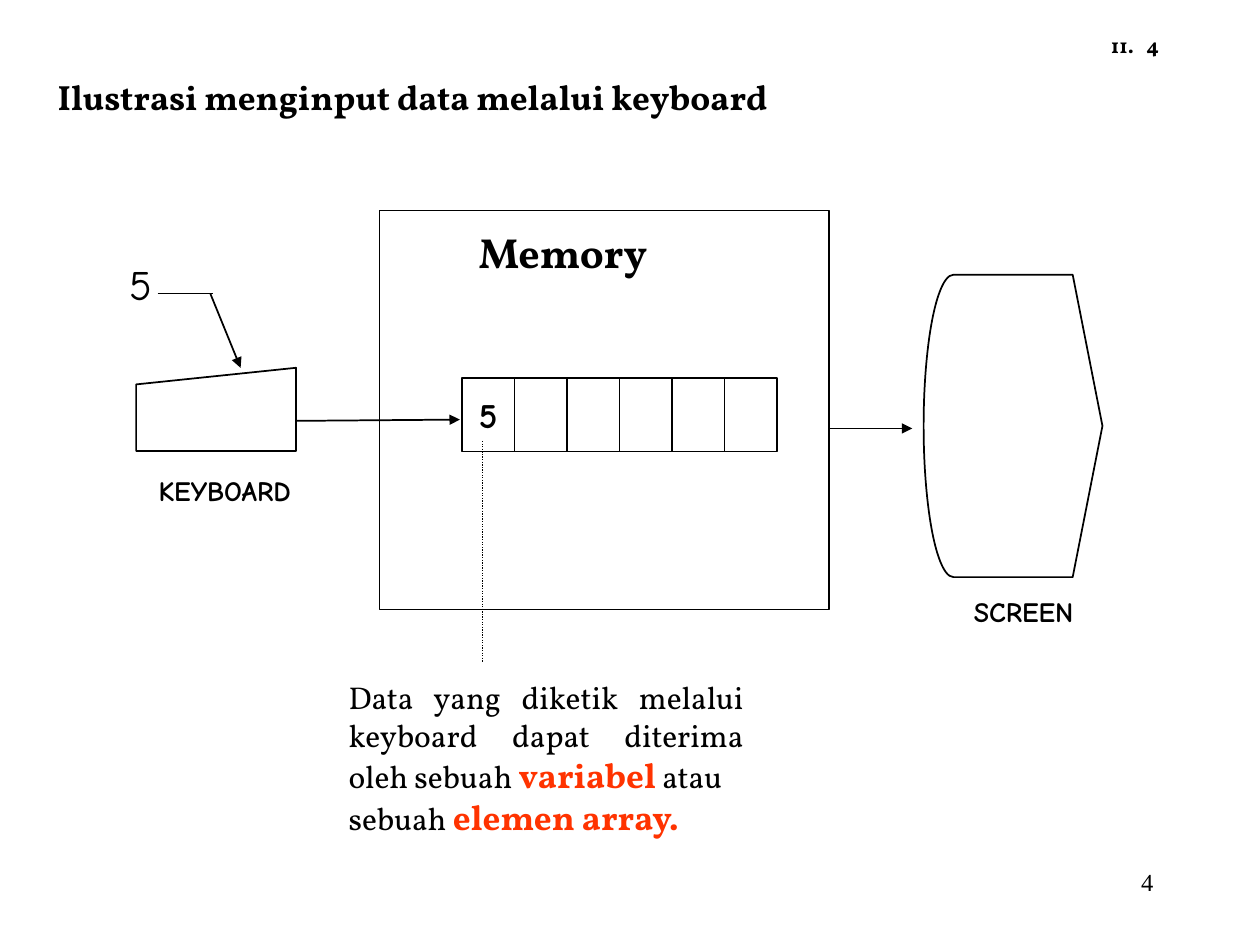
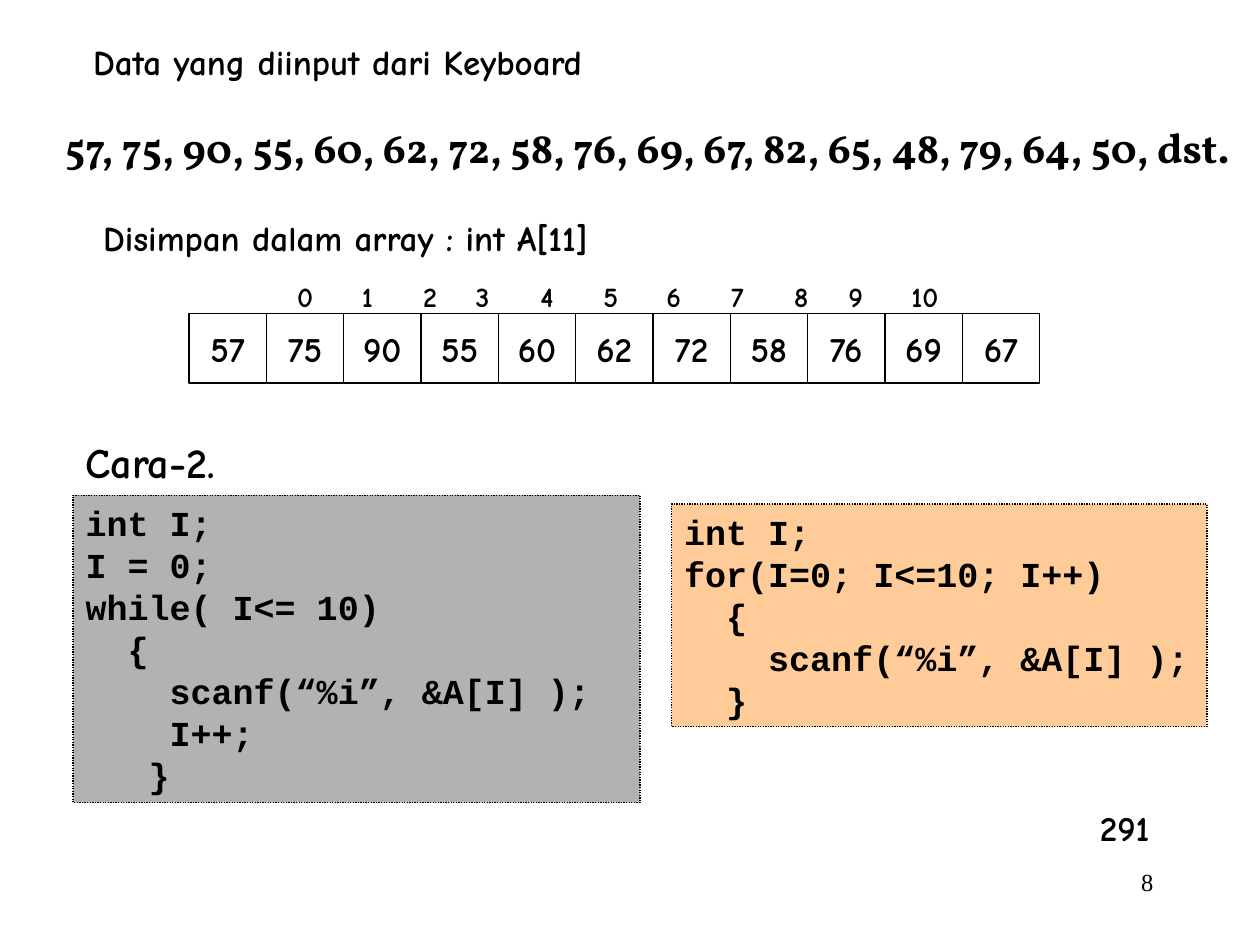
from dataclasses import dataclass
from typing import NamedTuple

from lxml.etree import SubElement
from pptx import Presentation
from pptx.dml.color import RGBColor
from pptx.enum.dml import MSO_LINE as Dash
from pptx.enum.shapes import MSO_CONNECTOR as Link, MSO_SHAPE as Kind
from pptx.enum.text import MSO_ANCHOR as Anchor, MSO_AUTO_SIZE as Fit, PP_ALIGN as Align
from pptx.oxml.ns import qn
from pptx.util import Pt


@dataclass(frozen=True)
class Theme:
    ink: str = "000000"
    accent: str = "FF3300"
    grey: str = "B2B2B2"
    peach: str = "FFCC99"
    serif: str = "Vollkorn"
    hand: str = "Comic Neue"
    mono: str = "Courier New"
    foot: str = "Times New Roman"
    tiny: int = 12
    page: int = 14
    small: int = 16
    body: int = 18
    head: int = 20
    large: int = 24
    thin: float = 0.75
    line: float = 1


class Box(NamedTuple):
    x: float
    y: float
    w: float
    h: float

    def inner(self, x, y, w, h):
        return Box(self.x + x, self.y + y, w, h)

    def spot(self, x, y):
        return self.x + x, self.y + y


T = Theme()


def style(font, name, size, bold=True, color=T.ink):
    font.name = name
    font.size = Pt(size)
    font.bold = bold
    font.color.rgb = RGBColor.from_string(color)


def stroke(item, width, dash=None):
    item.line.color.rgb = RGBColor.from_string(T.ink)
    item.line.width = Pt(width)
    if dash:
        item.line.dash_style = dash


def fill_text(frame, lines, name, size, bold=True, align=Align.LEFT):
    for i, line in enumerate(lines):
        para = frame.paragraphs[0] if i == 0 else frame.add_paragraph()
        para.text = line
        para.alignment = align
        style(para.font, name, size, bold)


def label(slide, box, text, name, size, bold=True, wrap=False, align=Align.LEFT):
    frame = slide.shapes.add_textbox(*map(Pt, box)).text_frame
    frame.word_wrap = wrap
    frame.auto_size = Fit.SHAPE_TO_FIT_TEXT
    fill_text(frame, [text], name, size, bold, align)


def shape(slide, kind, box, width=T.thin, fill=None, dash=None):
    item = slide.shapes.add_shape(kind, *map(Pt, box))
    item.shadow.inherit = False
    if fill:
        item.fill.solid()
        item.fill.fore_color.rgb = RGBColor.from_string(fill)
    else:
        item.fill.background()
    stroke(item, width, dash)
    return item


def line(slide, start, end, width=T.line, arrow=False, dash=None):
    item = slide.shapes.add_connector(Link.STRAIGHT, *map(Pt, start + end))
    stroke(item, width, dash)
    props = item._element.spPr
    if arrow:
        SubElement(props.find(qn("a:ln")), qn("a:tailEnd"), type="triangle")
    SubElement(props, qn("a:effectLst"))


def cells(slide, box, values):
    step = box.w / len(values)
    for i, value in enumerate(values):
        cell = shape(slide, Kind.RECTANGLE, box.inner(i * step, 0, step, box.h))
        if value:
            frame = cell.text_frame
            frame.word_wrap = False
            frame.vertical_anchor = Anchor.MIDDLE
            fill_text(frame, [value], T.hand, T.head, align=Align.CENTER)


def footer(slide, box, number):
    label(slide, box, number, T.foot, T.page, False, True, Align.RIGHT)


def keyboard(slide, box):
    shape(slide, Kind.FLOWCHART_MANUAL_INPUT, box.inner(10.8, 66.2, 91.4, 47.5), T.line)
    label(slide, box.inner(16.5, 123.1, 90, 26.6), "KEYBOARD", T.hand, T.small)
    label(slide, box.inner(0, 0, 27.4, 36), "5", T.hand, T.large, False)
    line(slide, box.spot(23, 23.8), box.spot(54.7, 23.8))
    line(slide, box.spot(53.2, 23.8), box.spot(70.5, 66.2), arrow=True)
    line(slide, box.spot(102.2, 96.5), box.spot(195.8, 95.8), arrow=True)


def memory(slide, box):
    shape(slide, Kind.RECTANGLE, box)
    label(slide, box.inner(49.7, 5.8, 116, 36), "Memory", T.serif, T.large)
    cells(slide, box.inner(47.3, 95.8, 180, 42), ["5"] + [""] * 5)
    line(slide, box.spot(59.1, 131.8), box.spot(59.1, 257.8), T.thin,
         dash=Dash.ROUND_DOT)


def screen(slide, box):
    item = shape(slide, Kind.FLOWCHART_DISPLAY, box, T.line)
    item._element.spPr.find(qn("a:xfrm")).set("flipH", "1")
    label(slide, box.inner(21.6, 179.2, 71.3, 26.6), "SCREEN", T.hand, T.small)
    line(slide, box.spot(-54, 87.8), box.spot(-6.5, 87.8), T.thin, arrow=True)


def note(slide, box):
    frame = slide.shapes.add_textbox(*map(Pt, box)).text_frame
    frame.word_wrap = True
    lines = [
        ("Data yang diketik melalui keyboard dapat diterima oleh sebuah ",
         "variabel", " atau"),
        ("sebuah ", "elemen array."),
    ]
    for i, pieces in enumerate(lines):
        para = frame.paragraphs[0] if i == 0 else frame.add_paragraph()
        para.alignment = Align.JUSTIFY
        for j, piece in enumerate(pieces):
            run = para.add_run()
            run.text = piece
            if j == 1:
                style(run.font, T.serif, T.head, True, T.accent)
            else:
                style(run.font, T.serif, T.body, False)


def indexes(slide, box, stops):
    frame = slide.shapes.add_textbox(*map(Pt, box)).text_frame
    frame.word_wrap = True
    para = frame.paragraphs[0]
    tabs = SubElement(para._p.get_or_add_pPr(), qn("a:tabLst"))
    for stop in stops:
        SubElement(tabs, qn("a:tab"), pos=str(Pt(stop)), algn="l")
    fill_text(frame, ["\t".join(map(str, range(len(stops) + 1)))], T.hand, T.small)


def code(slide, box, fill, text):
    frame = shape(slide, Kind.RECTANGLE, box, fill=fill, dash=Dash.ROUND_DOT).text_frame
    frame.word_wrap = True
    frame.vertical_anchor = Anchor.TOP
    fill_text(frame, text.split("\n"), T.mono, T.head)


def flow(slide, box):
    label(slide, box.inner(648, 15.1, 48.2, 23.8), "4", T.serif, T.tiny, wrap=True)
    label(slide, box.inner(627.8, 15.1, 31, 21.6), "11.", T.serif, T.tiny)
    label(slide, box.inner(25.9, 39.6, 450.7, 31.7),
          "Ilustrasi menginput data melalui keyboard", T.serif, T.head)
    memory(slide, box.inner(216.7, 120.2, 257, 228.2))
    keyboard(slide, box.inner(67, 144, 108, 150))
    screen(slide, box.inner(527.8, 157, 102.2, 172.8))
    note(slide, box.inner(192.2, 383.8, 239.8, 120))
    footer(slide, box.inner(516.2, 491.8, 150, 36), "4")


def loops(slide, box):
    label(slide, box.inner(46.1, 19.4, 295.2, 31.7),
          "Data yang diinput dari Keyboard", T.hand, T.head)
    label(slide, box.inner(30.2, 66.2, 689.8, 64.8),
          "57, 75, 90, 55, 60, 62, 72, 58, 76, 69, 67, 82, 65, 48, 79, 64, 50, dst.",
          T.serif, T.large, wrap=True)
    label(slide, box.inner(51.8, 120.2, 298.8, 31.7),
          "Disimpan dalam array : int A[11]", T.hand, T.head, wrap=True)
    indexes(slide, box.inner(162.7, 156.2, 400, 26.6),
            [37, 72, 102, 139, 175, 211, 248, 284, 315, 351])
    cells(slide, box.inner(108, 179.3, 486, 39.6),
          "57 75 90 55 60 62 72 58 76 69 67".split())
    label(slide, box.inner(41.8, 246.2, 154.8, 36), "Cara-2.", T.hand, T.large, wrap=True)
    code(slide, box.inner(41.8, 283, 324, 175.7), T.grey, """int I;
I = 0;
while( I<= 10)
  {
    scanf(“%i”, &A[I] );
    I++;
   }""")
    code(slide, box.inner(383.8, 288, 306, 127.4), T.peach, """int I;
for(I=0; I<=10; I++)
  {
    scanf(“%i”, &A[I] );
  }""")
    label(slide, box.inner(621.4, 457.2, 42.5, 31.7), "291", T.hand, T.head)
    footer(slide, box.inner(516.2, 491.8, 150, 36), "8")


def main():
    deck = Presentation()
    full = Box(0, 0, 720, 540)
    deck.slide_width, deck.slide_height = Pt(full.w), Pt(full.h)
    for build in (flow, loops):
        build(deck.slides.add_slide(deck.slide_layouts[6]), full)
    deck.save("out.pptx")


if __name__ == "__main__":
    main()
